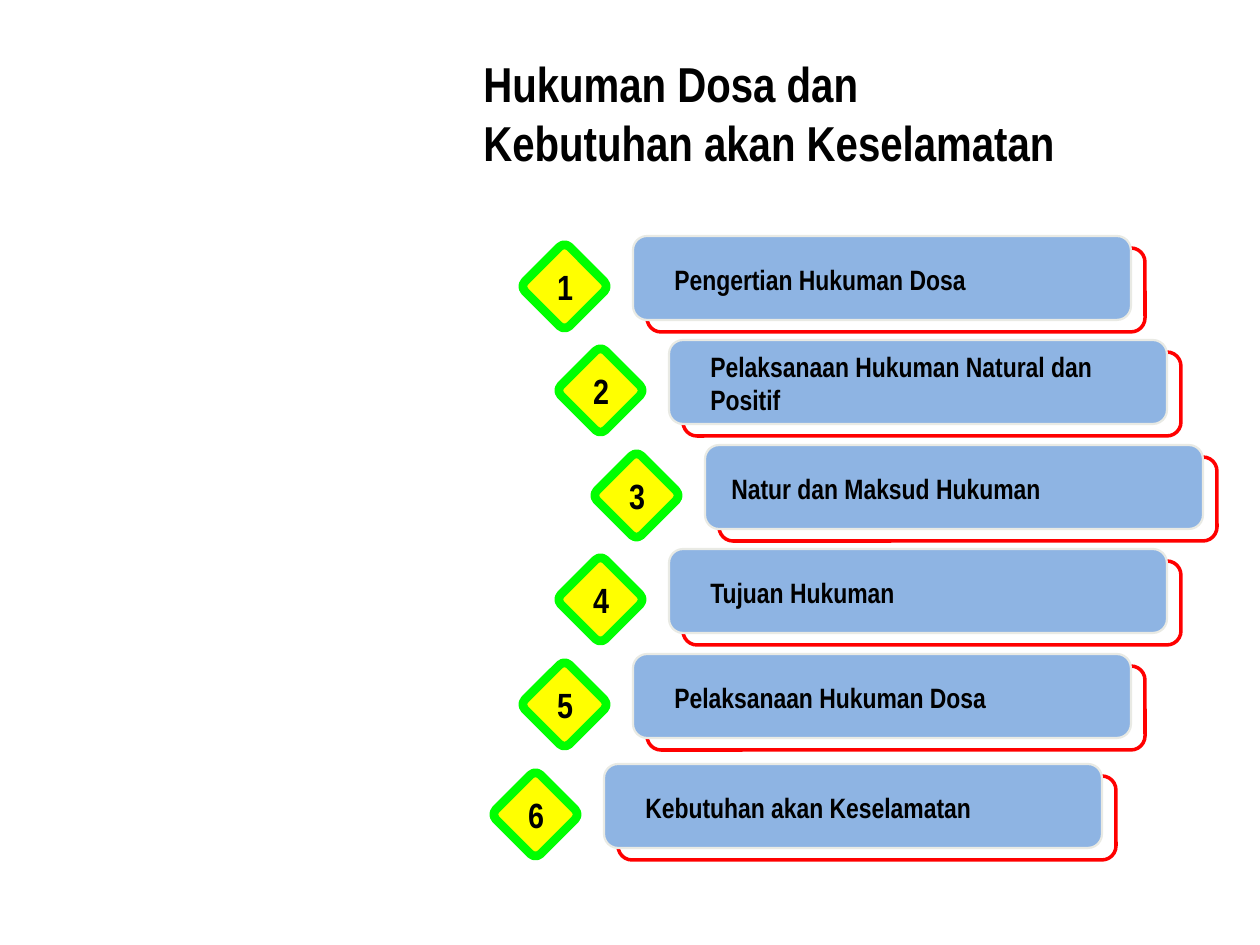
from pptx import Presentation
from pptx.dml.color import RGBColor
from pptx.enum.shapes import MSO_SHAPE
from pptx.enum.text import MSO_ANCHOR, PP_ALIGN
from pptx.util import Emu, Pt

# Content: label, left edge and top edge of each bar, text indent (px)
TITLE = ["Hukuman Dosa dan", "Kebutuhan akan Keselamatan"]
ITEMS = [
    ("Pengertian Hukuman Dosa", 633, 236, 29),
    ("Pelaksanaan Hukuman Natural dan Positif", 669, 340, 29),
    ("Natur dan Maksud Hukuman", 705, 445, 14),
    ("Tujuan Hukuman", 669, 549, 29),
    ("Pelaksanaan Hukuman Dosa", 633, 654, 29),
    ("Kebutuhan akan Keselamatan", 604, 764, 29),
]

# Sizes in px, 126 to the inch
SCALE = 914400 / 126
BAR_SIZE = (498, 84)
DIAMOND_SIZE = 63

BLACK = RGBColor(0x00, 0x00, 0x00)
WHITE = RGBColor(0xFF, 0xFF, 0xFF)
RED = RGBColor(0xFF, 0x00, 0x00)
BLUE = RGBColor(0x8E, 0xB4, 0xE3)
PALE = RGBColor(0xE9, 0xEA, 0xE4)
YELLOW = RGBColor(0xFF, 0xFF, 0x00)
GREEN = RGBColor(0x00, 0xFF, 0x00)


def px(*lengths):
    return [Emu(round(length * SCALE)) for length in lengths]


def add_box(slide, left, top, width, height, fill, line, line_width):
    shape = slide.shapes.add_shape(
        MSO_SHAPE.ROUNDED_RECTANGLE, *px(left, top, width, height))
    shape.shadow.inherit = False
    shape.fill.solid()
    shape.fill.fore_color.rgb = fill
    shape.line.color.rgb = line
    shape.line.width = Pt(line_width)
    return shape


def add_text(slide, left, top, width, height, lines, size, align=PP_ALIGN.LEFT):
    frame = slide.shapes.add_textbox(*px(left, top, width, height)).text_frame
    frame.word_wrap = True
    frame.vertical_anchor = MSO_ANCHOR.MIDDLE
    frame.text = "\n".join(lines)
    font_format = {"name": "Arial Narrow", "size": Pt(size), "bold": True}
    for paragraph in frame.paragraphs:
        paragraph.alignment = align
        for run in paragraph.runs:
            for key, value in font_format.items():
                setattr(run.font, key, value)
            run.font.color.rgb = BLACK


def add_item(slide, number, label, left, top, indent):
    # Bar with its offset outline behind
    add_box(slide, left + 14, top + 12, *BAR_SIZE, WHITE, RED, 2)
    add_box(slide, left, top, *BAR_SIZE, BLUE, PALE, 1.25)
    add_text(slide, left + indent, top + 3, 417, 80, [label], 16)
    # Numbered diamond
    diamond = add_box(slide, left - 100, top + 19, DIAMOND_SIZE, DIAMOND_SIZE,
                      YELLOW, GREEN, 5)
    diamond.adjustments[0] = 0.11
    diamond.rotation = 45
    add_text(slide, left - 89, top + 23, 42, 55, [str(number)], 20, PP_ALIGN.CENTER)


def main():
    presentation = Presentation()
    presentation.slide_width, presentation.slide_height = px(1260, 945)
    slide = presentation.slides.add_slide(presentation.slide_layouts[6])
    add_text(slide, 471, 73, 789, 79, TITLE, 28)
    for number, item in enumerate(ITEMS, 1):
        add_item(slide, number, *item)
    presentation.save("out.pptx")


if __name__ == "__main__":
    main()
